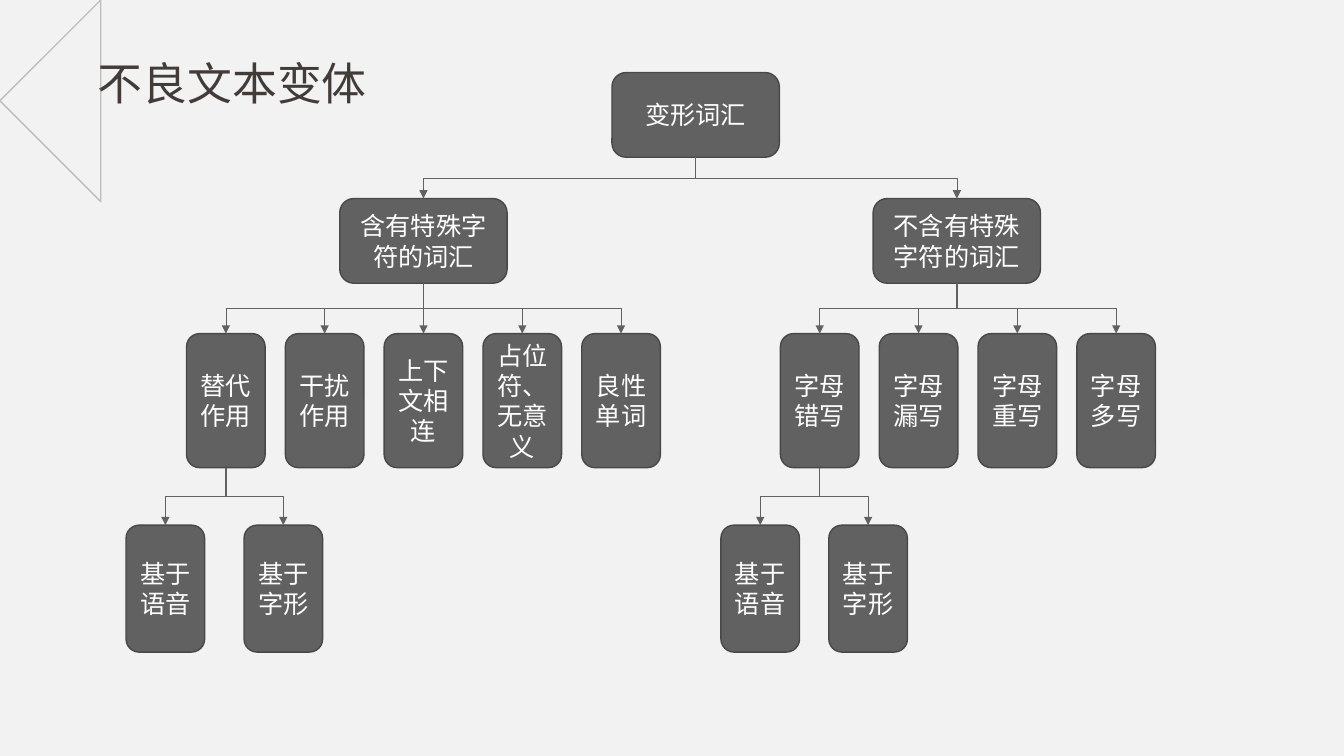
"""Build a slide with a tree of the variants of harmful text."""
from dataclasses import dataclass

from lxml.etree import SubElement
from pptx import Presentation
from pptx.dml.color import RGBColor
from pptx.enum.shapes import MSO_CONNECTOR as Connector, MSO_SHAPE as Shape
from pptx.enum.text import MSO_ANCHOR as Anchor, MSO_AUTO_SIZE as AutoSize, PP_ALIGN as Align
from pptx.oxml.ns import qn
from pptx.util import Inches, Pt


@dataclass
class Level:
    top: float
    width: float
    height: float


@dataclass
class Branch:
    """Children placed from a first left edge at an equal step."""
    first: float
    step: float
    children: list


LEVELS = [
    Level(0.72, 1.66, 0.84),
    Level(1.97, 1.66, 0.84),
    Level(3.31, 0.78, 1.33),
    Level(5.21, 0.78, 1.26),
]
BASES = ["基于语音", "基于字形"]


def leaves(*labels):
    return [(label, None) for label in labels]


special = Branch(1.85, 0.98, [
    ("替代作用", Branch(1.25, 1.17, leaves(*BASES))),
    *leaves("干扰作用", "上下文相连", "占位符、无意义", "良性单词"),
])
plain = Branch(7.74, 0.98, [
    ("字母错写", Branch(7.15, 1.07, leaves(*BASES))),
    *leaves("字母漏写", "字母重写", "字母多写"),
])
kinds = Branch(3.37, 5.29, [("含有特殊字符的词汇", special), ("不含有特殊字符的词汇", plain)])


def color(value):
    return RGBColor.from_string(value)


def write(frame, text, *, size, ink, font, anchor=Anchor.TOP):
    frame.word_wrap = True
    frame.vertical_anchor = anchor
    paragraph = frame.paragraphs[0]
    paragraph.alignment = Align.CENTER
    run = paragraph.add_run()
    run.text = text
    run.font.size = Pt(size)
    run.font.name = font
    run.font.color.rgb = color(ink)
    SubElement(run.font._element, qn("a:ea"), typeface=font)


class TreeSlide:
    font = "Noto Sans CJK JP"
    paper, title_ink, node_ink = "F2F2F2", "413B39", "FFFFFF"
    node_fill, node_edge, diamond_edge = "616161", "484848", "808080"

    def __init__(self, slide):
        self.slide = slide
        self.shapes = slide.shapes
        background = slide.background.fill
        background.solid()
        background.fore_color.rgb = color(self.paper)

    def title(self, text):
        heading = self.shapes.add_textbox(Inches(0.44), Inches(0.5), Inches(3.73), Inches(0.64))
        write(heading.text_frame, text, size=32, ink=self.title_ink, font=self.font)
        heading.text_frame.auto_size = AutoSize.SHAPE_TO_FIT_TEXT

    def diamond(self, start, *corners):
        outline = self.shapes.build_freeform(*start, scale=Inches(1))
        outline.add_line_segments(corners, close=False)
        diamond = outline.convert_to_shape()
        diamond.shadow.inherit = False
        diamond.fill.background()
        diamond.line.width = Pt(1)
        diamond.line.color.rgb = color(self.diamond_edge)
        shade = diamond.line._ln.find(".//" + qn("a:srgbClr"))
        SubElement(shade, qn("a:alpha"), val="45000")

    def node(self, text, left, level):
        node = self.shapes.add_shape(Shape.ROUNDED_RECTANGLE, Inches(left), Inches(level.top),
                                     Inches(level.width), Inches(level.height))
        node.shadow.inherit = False
        node.fill.solid()
        node.fill.fore_color.rgb = color(self.node_fill)
        node.line.color.rgb = color(self.node_edge)
        node.line.width = Pt(1)
        write(node.text_frame, text, size=18, ink=self.node_ink, font=self.font,
              anchor=Anchor.MIDDLE)
        return node

    def arrow(self, parent, child):
        """Join two nodes with an elbow that leaves downwards."""
        start_x, end_x = (node.left + node.width // 2 for node in (parent, child))
        start_y, end_y = parent.top + parent.height, child.top
        arrow = self.shapes.add_connector(Connector.ELBOW, start_x, start_y, end_x, end_y)
        arrow.begin_connect(parent, 2)
        arrow.end_connect(child, 0)
        drop, reach = end_y - start_y, abs(end_x - start_x)
        arrow.left = (start_x + end_x - drop) // 2
        arrow.top = (start_y + end_y - reach) // 2
        arrow.width, arrow.height = drop, reach
        rightward = end_x > start_x
        properties = arrow._element.spPr
        turn = properties.find(qn("a:xfrm"))
        turn.set("rot", str((270 if rightward else 90) * 60000))
        turn.set("flipH", str(int(rightward)))
        turn.set("flipV", "0")
        arrow.line.color.rgb = color(self.node_fill)
        arrow.line.width = Pt(0.5)
        SubElement(arrow.line._ln, qn("a:tailEnd"), type="triangle")
        SubElement(properties, qn("a:effectLst"))

    def grow(self, parent, branch, depth=1):
        """Draw a branch below its parent, then the branches below that."""
        for index, (label, twigs) in enumerate(branch.children):
            child = self.node(label, branch.first + index * branch.step, LEVELS[depth])
            self.arrow(parent, child)
            if twigs:
                self.grow(child, twigs, depth + 1)


def main():
    deck = Presentation()
    deck.slide_width, deck.slide_height = Inches(13.33), Inches(7.5)
    page = TreeSlide(deck.slides.add_slide(deck.slide_layouts[6]))
    page.title("不良文本变体")
    page.diamond((1.36, 0.53), (0.84, 0), (0.01, 0.82), (0.84, 1.65), (1.36, 1.13))
    root = page.node("变形词汇", 6.07, LEVELS[0])
    page.grow(root, kinds)
    deck.save("out.pptx")


if __name__ == "__main__":
    main()
